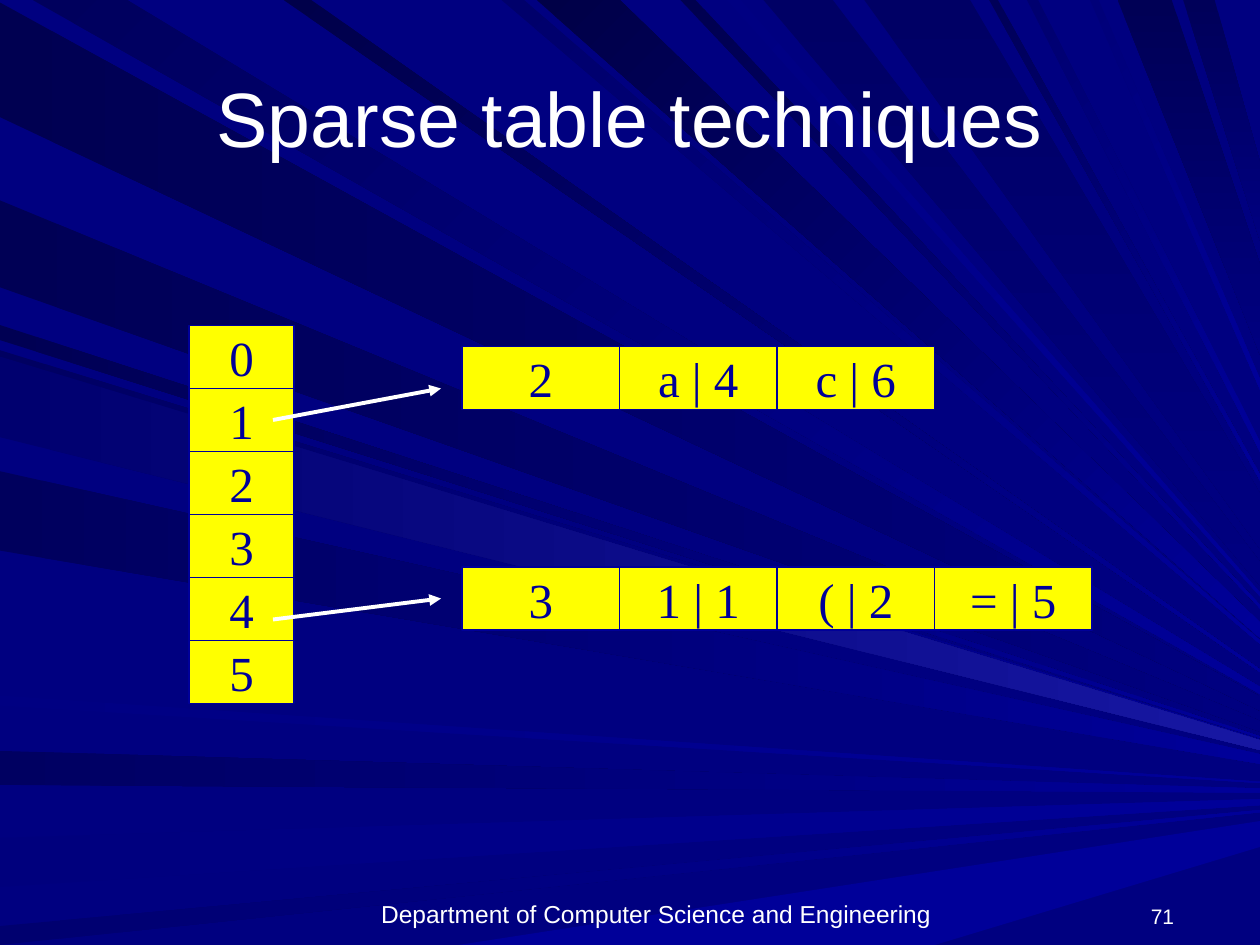
from dataclasses import dataclass

from lxml.etree import SubElement
from pptx import Presentation
from pptx.dml.color import RGBColor
from pptx.enum.shapes import MSO_CONNECTOR, MSO_SHAPE
from pptx.enum.text import MSO_ANCHOR, PP_ALIGN
from pptx.oxml.ns import qn
from pptx.util import Inches, Pt


@dataclass(frozen=True)
class Theme:
    back: str = "000080"
    ink: str = "000099"
    glow: str = "1717A2"
    cell: str = "FFFF00"
    light: str = "FFFFFF"
    sans: str = "Arial"
    serif: str = "Times New Roman"
    title: int = 44
    entry: int = 28
    foot: int = 14
    page: int = 12
    edge: float = 1
    arrow: float = 2.25


THEME = Theme()
UNIT = Inches(1) / 12
WIDE, HIGH = 10, 7.5
FOCUS = (11.4, 6.3)

# Rays by the side they leave: start and stop in inches, first and last colour.
LEFT = [
    (0.02, 0.93, "000051", THEME.back),
    (1.59, 2.28, "000055", THEME.back),
    (2.58, 2.7, "000053", THEME.ink),
    (2.78, 3.42, "000061", THEME.ink),
    (3.74, 4.37, "00005D", THEME.ink),
    (5.52, 5.6, "000082", THEME.ink),
    (5.96, 6.23, "000061", THEME.ink),
    (6.65, 7.04, "00007D", THEME.ink),
    (7.35, 7.5, "00006F", THEME.ink),
    (2.83, 3.47, "00006F", THEME.glow),
]
TOP = [
    (0.26, 1.01, "00005D", THEME.ink),
    (2.25, 2.47, "00004A", THEME.ink),
    (3.98, 4.16, "00006B", THEME.ink),
    (4.26, 4.92, "000047", THEME.ink),
    (5.4, 5.52, "00004F", THEME.ink),
    (5.77, 5.88, "000082", THEME.ink),
    (6.06, 6.61, "000065", THEME.back),
    (6.86, 7.7, "000065", THEME.back),
    (7.85, 7.92, "000058", THEME.ink),
    (8.15, 8.24, "00006F", THEME.ink),
    (8.65, 8.72, "000079", THEME.ink),
    (8.87, 9.3, "000055", THEME.back),
    (9.39, 9.64, "000059", THEME.back),
]
BASE = [(3.64, 7.42, THEME.ink, THEME.ink)]


def rgb(code):
    return RGBColor.from_string(code)


def grid(*spots):
    """Turn grid steps (twelve to the inch) into lengths."""
    return [round(spot * UNIT) for spot in spots]


def write(shape, text, *, size, font=THEME.sans, color=THEME.light,
          align=PP_ALIGN.CENTER, anchor=MSO_ANCHOR.MIDDLE, wrap=True):
    frame = shape.text_frame
    frame.text = text
    frame.word_wrap = wrap
    frame.vertical_anchor = anchor
    para = frame.paragraphs[0]
    para.alignment = align
    para.font.name = font
    para.font.size = Pt(size)
    para.font.color.rgb = rgb(color)


def aim(x, y):
    """Follow the line to the focus as far as the right edge."""
    share = (WIDE - x) / (FOCUS[0] - x)
    return WIDE, y + share * (FOCUS[1] - y)


def add_ray(shapes, start, stop, first, last, angle):
    points = [start, stop, aim(*stop), aim(*start)]
    spots = [(Inches(x), Inches(y)) for x, y in points]
    maker = shapes.build_freeform(*spots[0])
    maker.add_line_segments(spots[1:], close=True)
    ray = maker.convert_to_shape()
    ray.shadow.inherit = False
    ray.line.fill.background()
    ray.fill.gradient()
    ray.fill.gradient_angle = -angle % 360
    for stop_, color in zip(ray.fill.gradient_stops, (first, last)):
        stop_.color.rgb = rgb(color)


def add_rays(slide):
    """Draw the rays as one group behind the title."""
    group = slide.shapes.add_group_shape()
    for low, high, first, last in LEFT:
        add_ray(group.shapes, (0, low), (0, high), first, last, 0)
    for y, rays in ((0, TOP), (HIGH, BASE)):
        for low, high, first, last in rays:
            angle = 90 if last == THEME.back else 45
            add_ray(group.shapes, (low, y), (high, y), first, last, angle)
    slide.shapes.title.element.addprevious(group.element)


def add_cells(slide, texts, left, top, width, height, down=False):
    """Lay touching cells in a row, or in a column when down is set."""
    for step, text in enumerate(texts):
        col, row = (0, step) if down else (step, 0)
        cell = slide.shapes.add_shape(
            MSO_SHAPE.RECTANGLE,
            *grid(left + col * width, top + row * height, width, height))
        cell.shadow.inherit = False
        cell.fill.solid()
        cell.fill.fore_color.rgb = rgb(THEME.cell)
        cell.line.color.rgb = rgb(THEME.ink)
        cell.line.width = Pt(THEME.edge)
        write(cell, text, size=THEME.entry, font=THEME.serif,
              color=THEME.ink, wrap=False)


def add_arrow(slide, *ends):
    arrow = slide.shapes.add_connector(MSO_CONNECTOR.STRAIGHT, *grid(*ends))
    arrow.line.color.rgb = rgb(THEME.light)
    arrow.line.width = Pt(THEME.arrow)
    props = arrow.element.spPr
    SubElement(props.find(qn("a:ln")), qn("a:tailEnd"), type="triangle")
    SubElement(props, qn("a:effectLst"))


def add_note(slide, text, left, width, **form):
    box = slide.shapes.add_textbox(*grid(left, 85, width, 4))
    write(box, text, anchor=MSO_ANCHOR.BOTTOM, **form)


def main():
    deck = Presentation()
    deck.slide_width, deck.slide_height = Inches(WIDE), Inches(HIGH)
    slide = deck.slides.add_slide(deck.slide_layouts[5])
    slide.background.fill.solid()
    slide.background.fill.fore_color.rgb = rgb(THEME.back)
    add_rays(slide)

    title = slide.shapes.title
    title.left, title.top, title.width, title.height = grid(6, 3.6, 108, 15)
    write(title, "Sparse table techniques", size=THEME.title)

    add_note(slide, "Department of Computer Science and Engineering", 22, 81,
             size=THEME.foot)
    add_note(slide, "71", 105, 8, size=THEME.page, align=PP_ALIGN.RIGHT)

    add_cells(slide, "012345", 18, 31, 10, 6, down=True)
    add_cells(slide, ["2", "a | 4", "c | 6"], 44, 33, 15, 6)
    add_cells(slide, ["3", "1 | 1", "( | 2", "= | 5"], 44, 54, 15, 6)
    add_arrow(slide, 26, 40, 42, 37)
    add_arrow(slide, 26, 59, 42, 57)
    deck.save("out.pptx")


if __name__ == "__main__":
    main()
